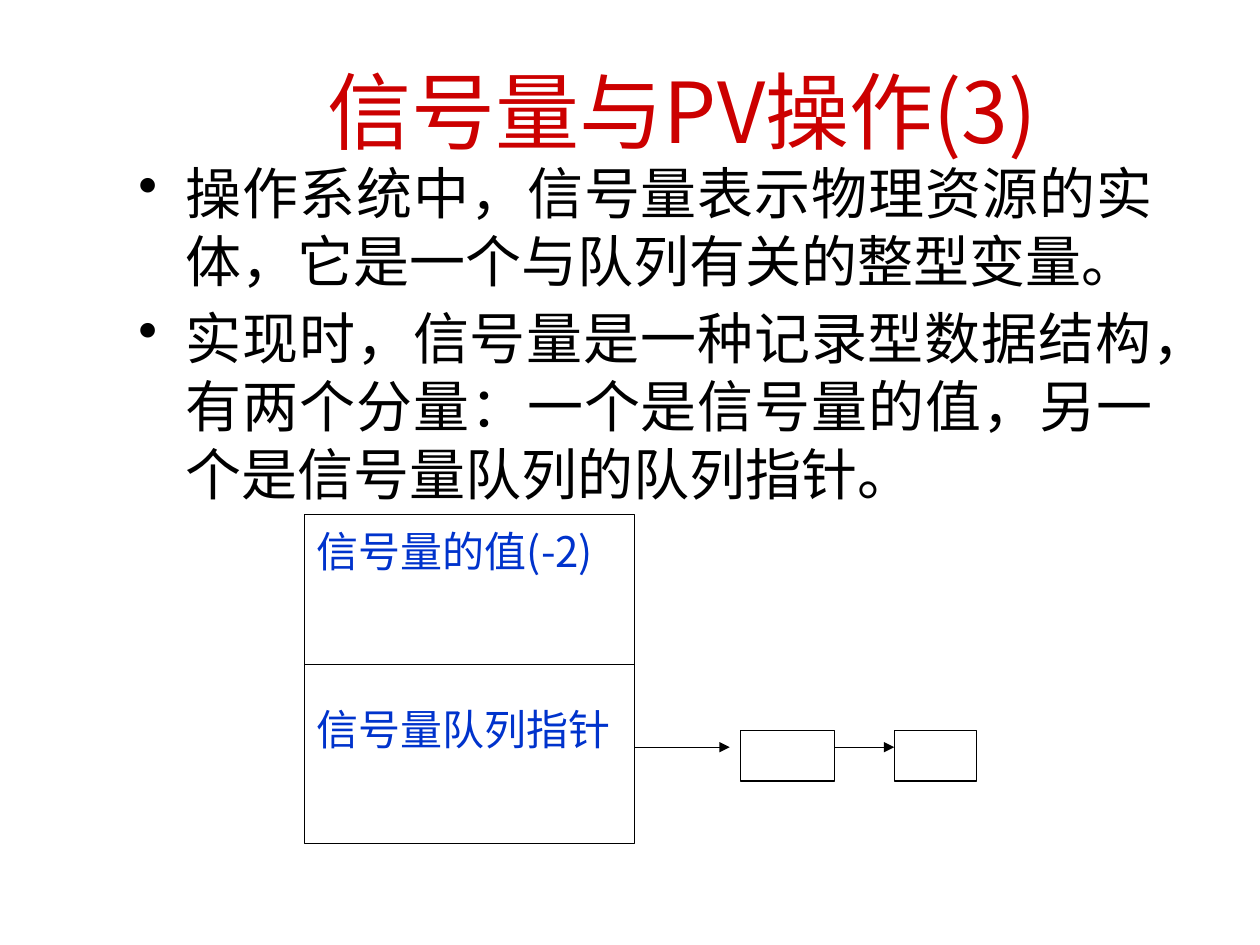
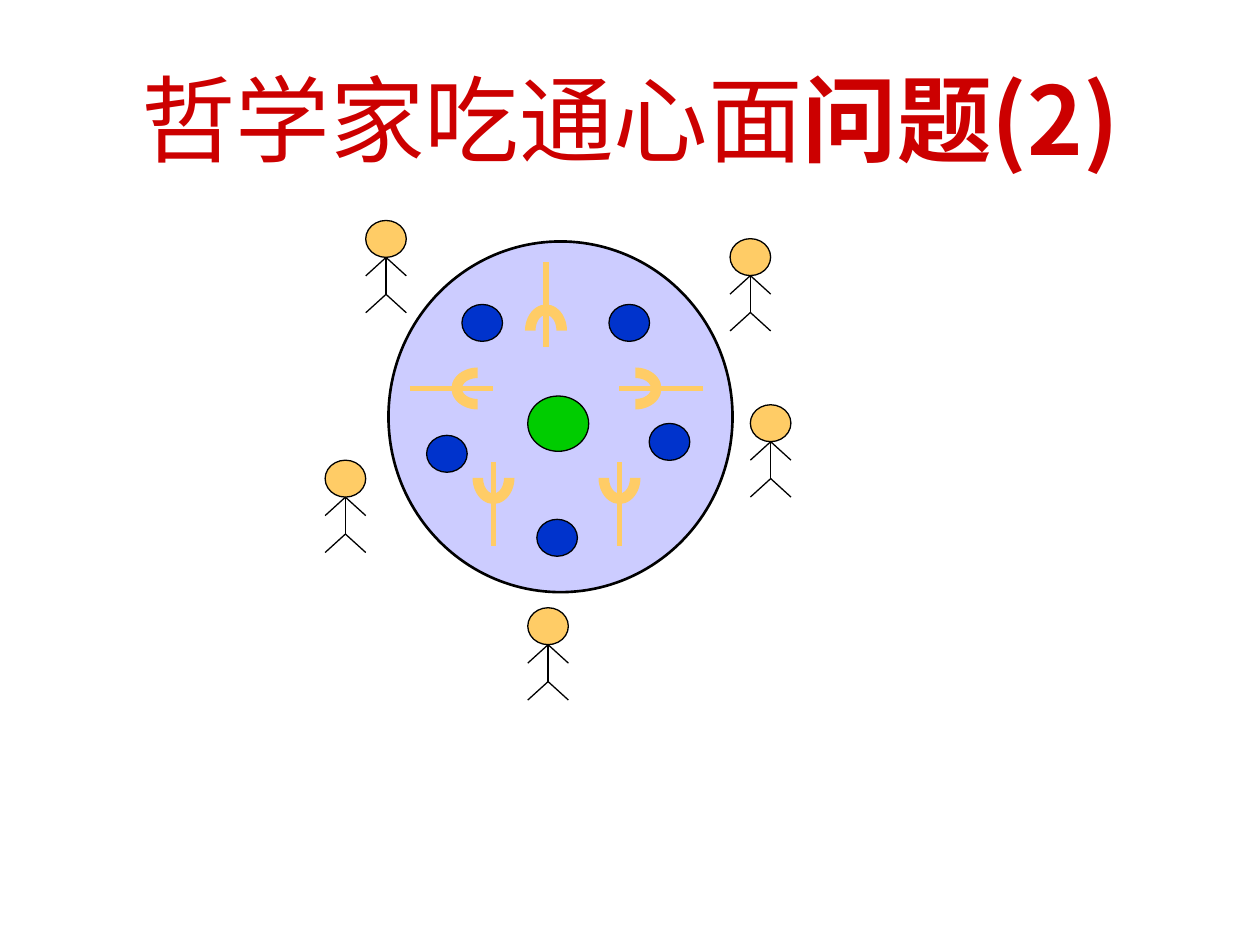
from dataclasses import dataclass
from math import cos, radians, sin

from lxml.etree import SubElement
from pptx import Presentation
from pptx.dml.color import RGBColor
from pptx.enum.shapes import MSO_CONNECTOR, MSO_SHAPE
from pptx.enum.text import MSO_ANCHOR, PP_ALIGN
from pptx.oxml.ns import qn
from pptx.util import Pt


@dataclass(frozen=True)
class Theme:
    red: str = "CC0000"
    blue: str = "0033CC"
    black: str = "000000"
    lilac: str = "CCCCFF"
    sand: str = "FFCC66"
    green: str = "00CC00"
    display_font: str = "Noto Sans CJK JP"
    body_font: str = "Noto Sans CJK SC"
    title_size: float = 48
    large_title_size: float = 54
    body_size: float = 32
    label_size: float = 24
    thin: float = 0.75
    medium: float = 1.5
    thick: float = 3


THEME = Theme()


def add_text(shape, paragraphs, *, size, color, font=THEME.display_font, align=PP_ALIGN.CENTER,
             anchor=MSO_ANCHOR.TOP, top_inset=3.6, line_height=None, gap=0, bullet_indent=None):
    """Fill a shape with paragraphs, each a list of (text, bold) runs."""
    frame = shape.text_frame
    frame.word_wrap = True
    frame.vertical_anchor = anchor
    frame.margin_top = Pt(top_inset)
    for index, runs in enumerate(paragraphs):
        paragraph = frame.add_paragraph() if index else frame.paragraphs[0]
        paragraph.alignment = align
        if index:
            paragraph.space_before = Pt(gap)
        if line_height:
            paragraph.line_spacing = Pt(line_height)
        if bullet_indent:
            properties = paragraph._p.get_or_add_pPr()
            properties.set("marL", str(Pt(bullet_indent)))
            properties.set("indent", str(-Pt(bullet_indent)))
            SubElement(properties, qn("a:buChar")).set("char", "•")
        for text, bold in runs:
            run = paragraph.add_run()
            run.text = text
            run.font.size = Pt(size)
            run.font.bold = bold
            run.font.color.rgb = RGBColor.from_string(color)
            run.font.name = font
            SubElement(run._r.get_or_add_rPr(), qn("a:ea")).set("typeface", font)


def add_line(slide, x1, y1, x2, y2, color=THEME.black, width=THEME.thin, arrow=False):
    line = slide.shapes.add_connector(MSO_CONNECTOR.STRAIGHT, Pt(x1), Pt(y1), Pt(x2), Pt(y2))
    line.line.color.rgb = RGBColor.from_string(color)
    line.line.width = Pt(width)
    if arrow:
        SubElement(line.line._get_or_add_ln(), qn("a:tailEnd")).set("type", "triangle")
    SubElement(line._element.spPr, qn("a:effectLst"))


presentation = Presentation()
presentation.slide_width, presentation.slide_height = Pt(720), Pt(540)
blank = presentation.slide_layouts[6]

# Semaphore record and its waiting queue
semaphore = presentation.slides.add_slide(blank)
title = semaphore.shapes.add_textbox(Pt(66), Pt(18), Pt(648), Pt(90))
add_text(title, [[("信号量与PV操作(3)", False)]], size=THEME.title_size, color=THEME.red,
         anchor=MSO_ANCHOR.MIDDLE)

definition = semaphore.shapes.add_textbox(Pt(72), Pt(84), Pt(594), Pt(438))
add_text(definition, [
    [("操作系统中，信号量表示物理资源的实体，它是一个与队列有关的整型变量。", False)],
    [("实现时，信号量是一种记录型数据结构，有两个分量：一个是信号量的值，"
      "另一个是信号量队列的队列指针。", False)],
], size=THEME.body_size, color=THEME.black, font=THEME.body_font, align=PP_ALIGN.JUSTIFY,
    top_inset=6.5, line_height=38.8, gap=5, bullet_indent=27)

record_fields = [[("信号量的值(-2)", False)], [("信号量队列指针", False)]]
for left, top, width, height, fields in [
    (174, 294, 188.8, 188, record_fields),
    (423, 417.6, 54, 28.8, []),
    (511, 417.6, 47, 28.8, []),
]:
    box = semaphore.shapes.add_shape(MSO_SHAPE.RECTANGLE, Pt(left), Pt(top), Pt(width), Pt(height))
    box.shadow.inherit = False
    box.fill.background()
    box.line.color.rgb = RGBColor.from_string(THEME.black)
    box.line.width = Pt(THEME.thin)
    add_text(box, fields, size=THEME.label_size, color=THEME.blue, align=PP_ALIGN.JUSTIFY,
             top_inset=6, line_height=29, gap=73)

add_line(semaphore, 174, 379.6, 362.8, 379.6)
for start, end in [(362.8, 417), (477, 511)]:
    add_line(semaphore, start, 427, end, 427, arrow=True)

# Dining philosophers
dining = presentation.slides.add_slide(blank)
title = dining.shapes.add_textbox(Pt(54), Pt(41.8), Pt(612), Pt(90))
add_text(title, [[("哲学家吃通心面", False), ("问题(2)", True)]], size=THEME.large_title_size,
         color=THEME.red, top_inset=11, line_height=47)

HEAD_W, HEAD_H = 23.2, 21.1
plates = [(264, 174), (348, 174), (371, 242), (306.8, 296.8), (243.8, 248.8)]
philosophers = [(417.2, 136.4), (428.8, 231.3), (301.6, 347.3), (209, 126), (185.8, 263)]
ellipses = [(222, 138, 196.6, 200.4, THEME.lilac, THEME.medium)]
ellipses += [(x, y, HEAD_W, HEAD_H, THEME.blue, THEME.thin) for x, y in plates]
ellipses += [(x, y, HEAD_W, HEAD_H, THEME.sand, THEME.thin) for x, y in philosophers]
ellipses.append((301.6, 226.3, 34.8, 31.6, THEME.green, THEME.thin))
for left, top, width, height, fill, outline in ellipses:
    disc = dining.shapes.add_shape(MSO_SHAPE.OVAL, Pt(left), Pt(top), Pt(width), Pt(height))
    disc.shadow.inherit = False
    disc.fill.solid()
    disc.fill.fore_color.rgb = RGBColor.from_string(fill)
    disc.line.color.rgb = RGBColor.from_string(THEME.black)
    disc.line.width = Pt(outline)

LIMB = HEAD_H / 2
for left, top in philosophers:
    spine, neck = left + HEAD_W / 2, top + HEAD_H
    hip = neck + 2 * LIMB
    add_line(dining, spine, neck, spine, hip)
    for joint in (hip, neck):
        for side in (left, left + HEAD_W):
            add_line(dining, spine, joint, side, joint + LIMB)

HANDLE, PRONGS_W, PRONGS_H, PRONGS_OFFSET = 48, 24, 30, 15
for x, y, turn in [(312, 174, 0), (258, 222, 270), (378, 222, 90), (354, 288, 180), (282, 288, 180)]:
    dx, dy = -sin(radians(turn)), cos(radians(turn))
    add_line(dining, x - dx * HANDLE / 2, y - dy * HANDLE / 2,
             x + dx * HANDLE / 2, y + dy * HANDLE / 2, THEME.sand, THEME.thick)
    prongs = dining.shapes.add_shape(
        MSO_SHAPE.BLOCK_ARC, Pt(x + dx * PRONGS_OFFSET - PRONGS_W / 2),
        Pt(y + dy * PRONGS_OFFSET - PRONGS_H / 2), Pt(PRONGS_W), Pt(PRONGS_H))
    prongs.rotation = turn
    prongs.shadow.inherit = False
    prongs.fill.solid()
    prongs.fill.fore_color.rgb = RGBColor.from_string(THEME.sand)
    prongs.line.fill.background()

presentation.save("out.pptx")
